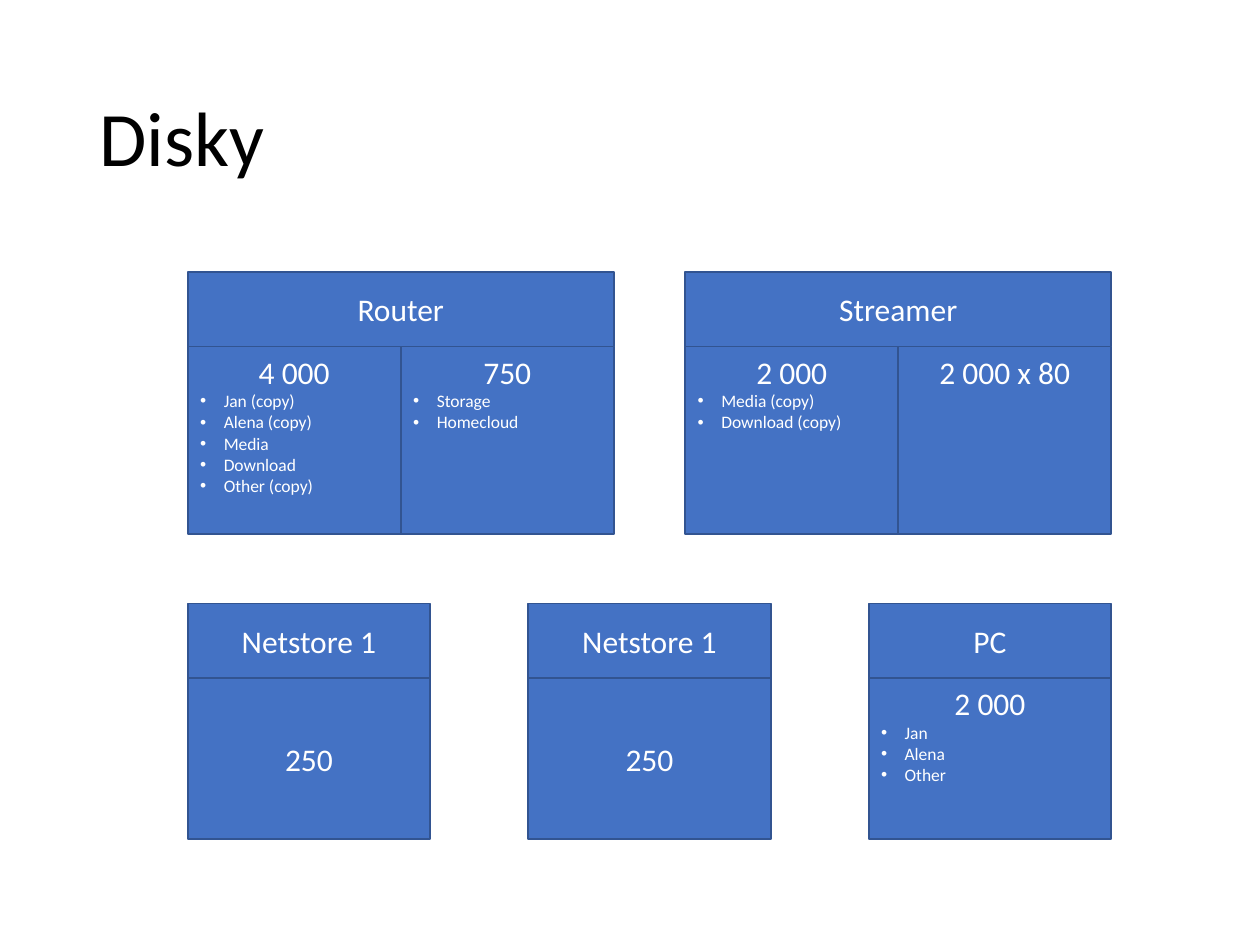
from dataclasses import dataclass

from lxml import etree
from pptx import Presentation
from pptx.dml.color import RGBColor
from pptx.enum import shapes, text
from pptx.oxml.ns import qn
from pptx.util import Pt

COLORS = {"fill": "4472C4", "line": "325491", "text": "FFFFFF", "title": "000000"}
FONT = "Calibri"
LEFT, RIGHT = 107.3, 635
HEADER_H = 42.5
BULLET_INDENT = 13.5


@dataclass
class Disk:
    size: str
    folders: tuple[str, ...] = ()
    top_aligned: bool = True


@dataclass
class Device:
    name: str
    disks: list[Disk]


@dataclass
class Row:
    top: float
    device_w: float
    disk_h: float
    devices: list[Device]


ROWS = [
    Row(155.5, 243.4, 107.2, [
        Device("Router", [
            Disk("4 000", ("Jan (copy)", "Alena (copy)", "Media", "Download", "Other (copy)")),
            Disk("750", ("Storage", "Homecloud")),
        ]),
        Device("Streamer", [
            Disk("2 000", ("Media (copy)", "Download (copy)")),
            Disk("2 000 x 80"),
        ]),
    ]),
    Row(344.9, 138.6, 92.2, [
        Device("Netstore 1", [Disk("250", top_aligned=False)]),
        Device("Netstore 1", [Disk("250", top_aligned=False)]),
        Device("PC", [Disk("2 000", ("Jan", "Alena", "Other"))]),
    ]),
]


def rgb(name: str) -> RGBColor:
    return RGBColor.from_string(COLORS[name])


def format_paragraph(p, size: float, color: str, align) -> None:
    p.alignment = align
    for r in p.runs:
        r.font.name = FONT
        r.font.size = Pt(size)
        r.font.color.rgb = rgb(color)


def add_bullet(p) -> None:
    pPr = p._p.get_or_add_pPr()
    pPr.set("marL", str(Pt(BULLET_INDENT)))
    pPr.set("indent", str(-Pt(BULLET_INDENT)))
    etree.SubElement(pPr, qn("a:buFont")).set("typeface", "Arial")
    etree.SubElement(pPr, qn("a:buChar")).set("char", "•")


def add_box(slide, x: float, y: float, w: float, h: float, heading: str,
            items: tuple[str, ...] = (), top_aligned: bool = False) -> None:
    sp = slide.shapes.add_shape(shapes.MSO_SHAPE.RECTANGLE, Pt(x), Pt(y), Pt(w), Pt(h))
    sp.shadow.inherit = False
    sp.fill.solid()
    sp.fill.fore_color.rgb = rgb("fill")
    sp.line.color.rgb = rgb("line")
    sp.line.width = Pt(1)
    tf = sp.text_frame
    tf.word_wrap = True
    tf.vertical_anchor = text.MSO_ANCHOR.TOP if top_aligned else text.MSO_ANCHOR.MIDDLE
    tf.text = heading
    format_paragraph(tf.paragraphs[0], 18, "text", text.PP_ALIGN.CENTER)
    for item in items:
        p = tf.add_paragraph()
        p.text = item
        format_paragraph(p, 10, "text", text.PP_ALIGN.LEFT)
        add_bullet(p)


def add_device(slide, device: Device, x: float, row: Row) -> None:
    add_box(slide, x, row.top, row.device_w, HEADER_H, device.name)
    disk_w = row.device_w / len(device.disks)
    for i, disk in enumerate(device.disks):
        add_box(slide, x + i * disk_w, row.top + HEADER_H, disk_w, row.disk_h,
                disk.size, disk.folders, disk.top_aligned)


prs = Presentation()
prs.slide_width, prs.slide_height = Pt(720), Pt(540)
slide = prs.slides.add_slide(prs.slide_layouts[5])

# Title
title = slide.shapes.title
title.left, title.top, title.width, title.height = Pt(49.5), Pt(28.75), Pt(621), Pt(104.4)
tf = title.text_frame
tf.text = "Disky"
tf.vertical_anchor = text.MSO_ANCHOR.MIDDLE
tf.paragraphs[0].line_spacing = 0.9
format_paragraph(tf.paragraphs[0], 44, "title", text.PP_ALIGN.LEFT)

# Devices, spread evenly between the margins
for row in ROWS:
    step = (RIGHT - LEFT - row.device_w) / (len(row.devices) - 1)
    for i, device in enumerate(row.devices):
        add_device(slide, device, LEFT + i * step, row)

prs.save("out.pptx")
